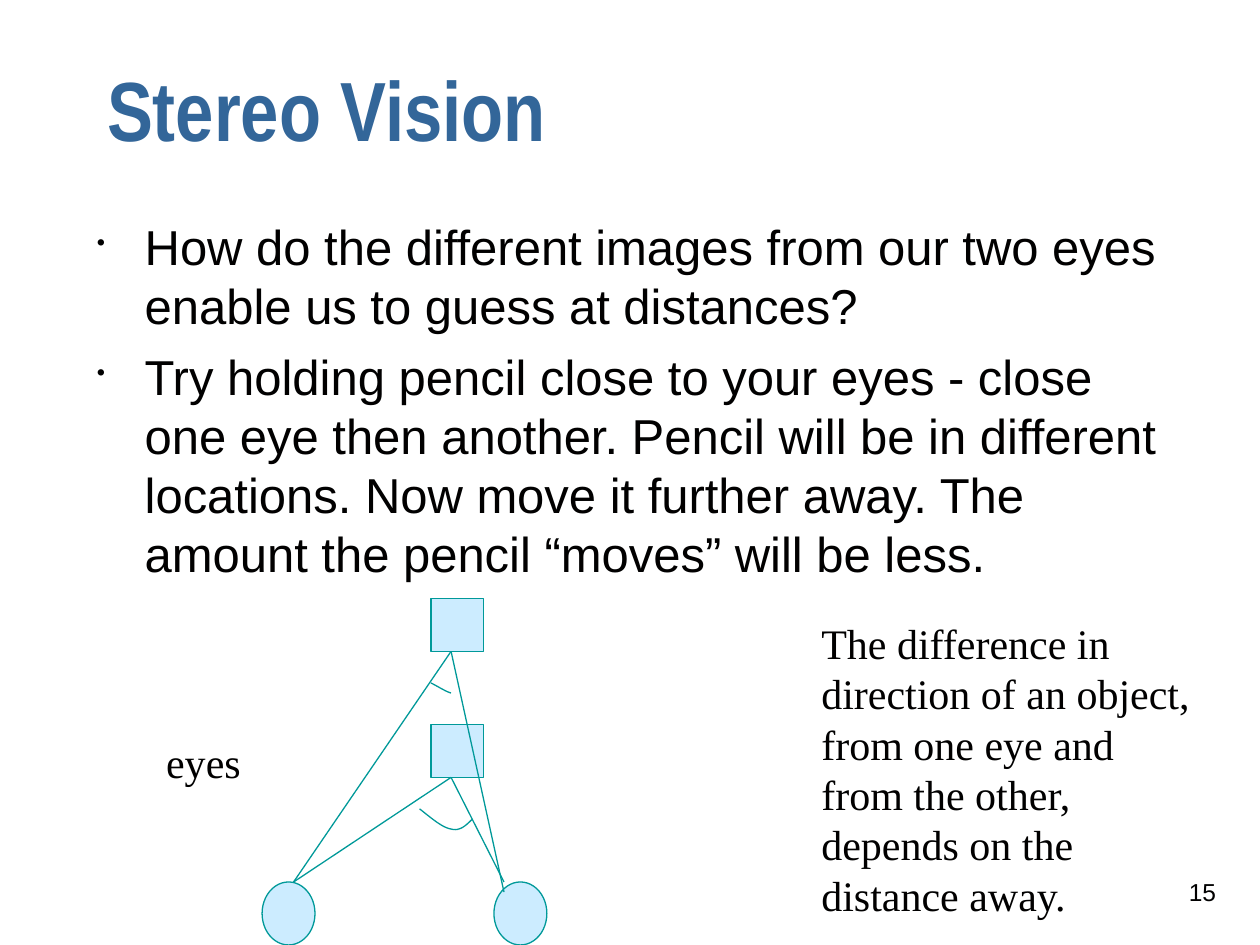
from lxml import etree
from pptx import Presentation
from pptx.dml.color import RGBColor
from pptx.enum.shapes import MSO_CONNECTOR, MSO_SHAPE
from pptx.enum.text import MSO_ANCHOR, MSO_AUTO_SIZE, PP_ALIGN
from pptx.oxml.ns import qn
from pptx.util import Inches, Pt

COLORS = {"title": "336699", "text": "010000", "fill": "CCECFF", "line": "009999"}
RGB = {name: RGBColor.from_string(value) for name, value in COLORS.items()}

prs = Presentation()
prs.slide_width, prs.slide_height = Inches(10), Inches(7.5)
s = prs.slides.add_slide(prs.slide_layouts[5])


def add_run(p, text, size, font, color="text", bold=False):
    r = p.add_run()
    r.text = text
    r.font.size, r.font.name, r.font.bold = Pt(size), font, bold
    r.font.color.rgb = RGB[color]


def add_text(left, top, width, height, text, size, font, wrap=True):
    tf = s.shapes.add_textbox(*map(Inches, (left, top, width, height))).text_frame
    tf.word_wrap = wrap
    add_run(tf.paragraphs[0], text, size, font)
    return tf


# Title
title = s.shapes.title
title.left, title.top = Inches(0.75), Inches(0.33)
title.width, title.height = Inches(8.58), Inches(1.25)
tf = title.text_frame
tf.auto_size = MSO_AUTO_SIZE.NONE
tf.vertical_anchor = MSO_ANCHOR.MIDDLE
p = tf.paragraphs[0]
p.alignment, p.line_spacing = PP_ALIGN.LEFT, 0.7
add_run(p, "Stereo Vision", 48, "Arial Narrow", "title", True)

# Bullets
bullets = [
    "How do the different images from our two eyes enable us to guess at distances?",
    "Try holding pencil close to your eyes - close one eye then another. "
    "Pencil will be in different locations. Now move it further away. "
    "The amount the pencil “moves” will be less.",
]
tf = s.shapes.add_textbox(Inches(0.67), Inches(1.67), Inches(8.75), Inches(4.5)).text_frame
tf.word_wrap = True
for i, text in enumerate(bullets):
    p = tf.add_paragraph() if i else tf.paragraphs[0]
    pPr = p._p.get_or_add_pPr()
    pPr.set("marL", str(Inches(0.38)))
    pPr.set("indent", str(-Inches(0.38)))
    color = etree.SubElement(pPr, qn("a:buClr"))
    etree.SubElement(color, qn("a:srgbClr"), val=COLORS["text"])
    etree.SubElement(pPr, qn("a:buSzPct"), val="50000")
    etree.SubElement(pPr, qn("a:buChar"), char="•")
    if i:
        p.space_before = Pt(7)
    add_run(p, text, 28, "Arial")

# Explanation
add_text(6.42, 4.85, 3.25, 2.5,
         "The difference in direction of an object, from one eye and "
         "from the other, depends on the distance away.", 24, "Times New Roman")

# Objects and eyes
for kind, left, top, height in [
    (MSO_SHAPE.RECTANGLE, 3.42, 4.75, 0.42),
    (MSO_SHAPE.RECTANGLE, 3.42, 5.75, 0.42),
    (MSO_SHAPE.OVAL, 2.08, 7, 0.5),
    (MSO_SHAPE.OVAL, 3.92, 7, 0.5),
]:
    sp = s.shapes.add_shape(kind, Inches(left), Inches(top), Inches(0.42), Inches(height))
    sp.shadow.inherit = False
    sp.fill.solid()
    sp.fill.fore_color.rgb = RGB["fill"]
    sp.line.color.rgb, sp.line.width = RGB["line"], Pt(0.75)

add_text(1.22, 5.8, 0.79, 0.5, "eyes", 24, "Times New Roman", wrap=False)

# Sight lines from each object to both eyes
for object_y, right_eye_y in [(6.17, 7), (5.17, 7.08)]:
    for start, end in [((2.33, 7), (3.58, object_y)), ((3.58, object_y), (4, right_eye_y))]:
        line = s.shapes.add_connector(MSO_CONNECTOR.STRAIGHT, *map(Inches, start + end))
        line.line.color.rgb, line.line.width = RGB["line"], Pt(0.75)
        etree.SubElement(line._element.spPr, qn("a:effectLst"))

# Angle arcs, sampled from Bezier curves
STEPS = 12
for curves in [
    [[(3.42, 5.42), (3.48, 5.45), (3.54, 5.49), (3.58, 5.5)]],
    [[(3.33, 6.42), (3.42, 6.49), (3.51, 6.57), (3.58, 6.58)],
     [(3.58, 6.58), (3.65, 6.6), (3.7, 6.55), (3.75, 6.5)]],
]:
    points = []
    for curve in curves:
        for step in range(1, STEPS + 1):
            t = step / STEPS
            weights = ((1 - t) ** 3, 3 * t * (1 - t) ** 2, 3 * t * t * (1 - t), t ** 3)
            points.append(tuple(Inches(sum(w * c for w, c in zip(weights, axis)))
                                for axis in zip(*curve)))
    builder = s.shapes.build_freeform(*map(Inches, curves[0][0]))
    builder.add_line_segments(points, close=False)
    arc = builder.convert_to_shape()
    arc.shadow.inherit = False
    arc.fill.background()
    arc.line.color.rgb, arc.line.width = RGB["line"], Pt(0.75)

# Slide number
tf = add_text(7.67, 6.83, 2.08, 0.5, "15", 14, "Arial")
tf.vertical_anchor = MSO_ANCHOR.MIDDLE
tf.paragraphs[0].alignment = PP_ALIGN.RIGHT

prs.save("out.pptx")
